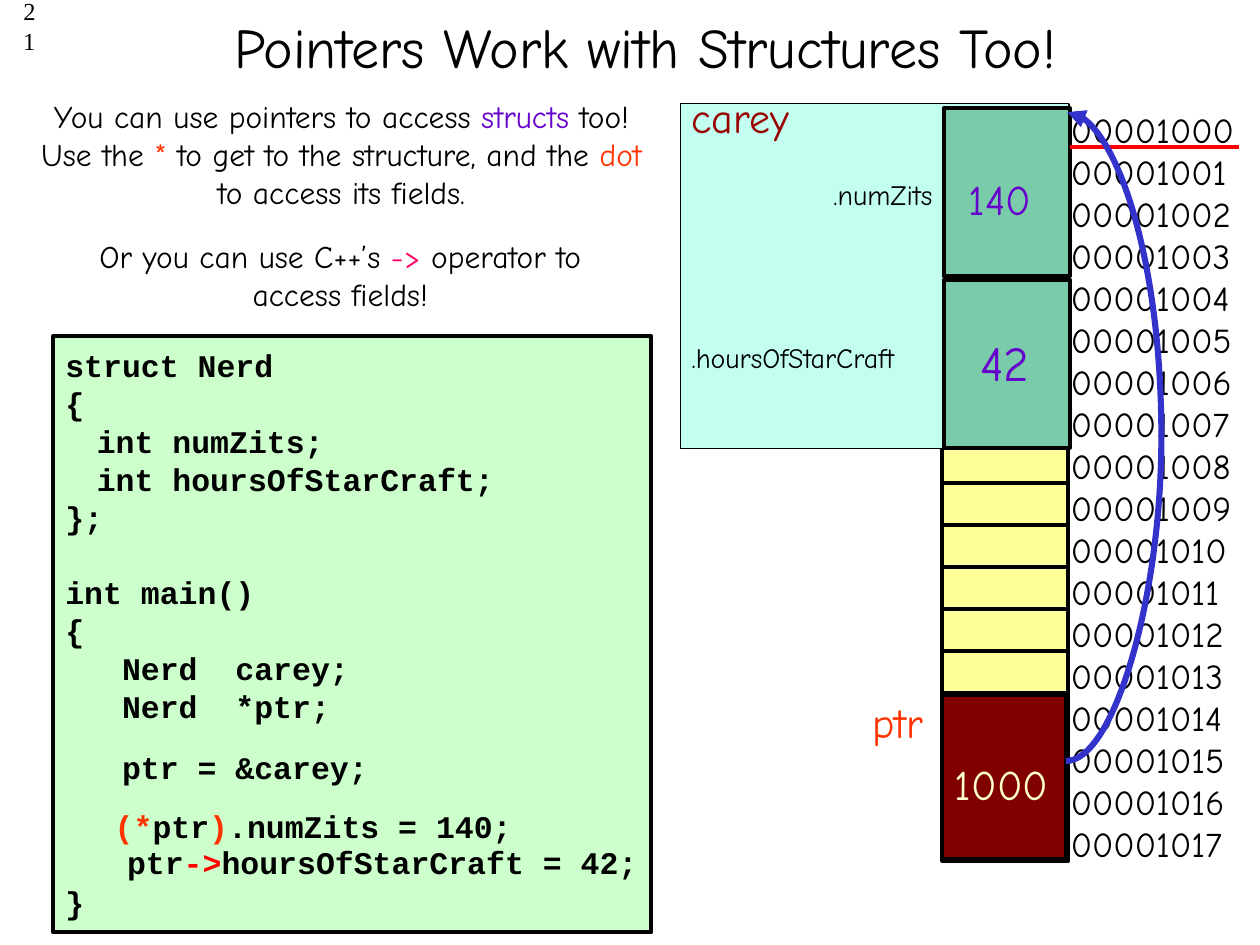
from pptx import Presentation
from pptx.dml.color import RGBColor
from pptx.enum.shapes import MSO_CONNECTOR, MSO_SHAPE
from pptx.enum.text import MSO_ANCHOR, PP_ALIGN
from pptx.oxml.ns import qn
from pptx.util import Inches, Pt
from lxml.etree import SubElement

HUES = {
    "black": "000000", "mint": "CCFFCC", "cell": "FFFF99", "aqua": "C2FFF0",
    "green": "339966", "maroon": "800000", "wine": "990000", "grape": "6600CC",
    "orange": "FF3300", "red": "FF0000", "pink": "FF0066", "cream": "FFFFCC",
    "blue": "3333CC",
}
COMIC, CODE, TIMES = "Comic Neue", "Courier New", "Times New Roman"
LEFT, MID, RIGHT = PP_ALIGN.LEFT, PP_ALIGN.CENTER, PP_ALIGN.RIGHT


def hue(name):
    return RGBColor.from_string(HUES[name])


def write(frame, paras, size=18, font=COMIC, color="black", bold=False,
          align=LEFT, anchor=MSO_ANCHOR.TOP, gaps=None, tab=None, top=0.05):
    """Fill a frame; a paragraph is a string or a list of (text, colour, size)."""
    frame.word_wrap = True
    frame.vertical_anchor = anchor
    frame.margin_top = Inches(top)
    for i, para in enumerate(paras):
        p = frame.paragraphs[0] if i == 0 else frame.add_paragraph()
        if tab:
            stops = SubElement(p._p.get_or_add_pPr(), qn("a:tabLst"))
            SubElement(stops, qn("a:tab"), pos=str(Inches(tab)), algn="l")
        p.alignment = align
        p.line_spacing = Pt(size * 1.2)
        if gaps and i in gaps:
            p.space_before = Pt(gaps[i])
        for text, tone, *own in [(para, color)] if isinstance(para, str) else para:
            run = p.add_run()
            run.text = text
            run.font.size = Pt(own[0] if own else size)
            run.font.name = font
            run.font.bold = bold
            run.font.color.rgb = hue(tone)


class Board:
    """Draws on one slide, on a grid of 100 columns by 75 rows."""

    def __init__(self):
        self.deck = Presentation()
        self.deck.slide_width, self.deck.slide_height = Inches(10), Inches(7.5)
        self.slide = self.deck.slides.add_slide(self.deck.slide_layouts[6])
        self.shapes = self.slide.shapes

    def grid(self, *nums):
        return [int(n * self.deck.slide_width / 100) for n in nums]

    def text(self, x, y, w, h, *paras, **style):
        box = self.shapes.add_textbox(*self.grid(x, y, w, h))
        write(box.text_frame, paras, **style)

    def rect(self, x, y, w, h, fill, line=2.25, alpha=None):
        box = self.shapes.add_shape(MSO_SHAPE.RECTANGLE, *self.grid(x, y, w, h))
        box.shadow.inherit = False
        box.fill.solid()
        box.fill.fore_color.rgb = hue(fill)
        box.line.color.rgb = hue("black")
        box.line.width = Pt(line)
        if alpha:
            tone = box._element.spPr.find(qn("a:solidFill"))[0]
            SubElement(tone, qn("a:alpha"), val=str(alpha * 1000))
        return box

    def line(self, x, y, to_x, to_y, color, width, bulge=None):
        kind = MSO_CONNECTOR.CURVE if bulge else MSO_CONNECTOR.STRAIGHT
        wire = self.shapes.add_connector(kind, *self.grid(x, y, to_x, to_y))
        wire.line.color.rgb = hue(color)
        wire.line.width = Pt(width)
        props = wire._element.spPr
        if bulge:
            SubElement(wire.line._get_or_add_ln(), qn("a:tailEnd"), type="triangle")
            ratio = int(bulge / (to_x - x) * 100000)
            SubElement(props.find(qn("a:prstGeom")).find(qn("a:avLst")),
                       qn("a:gd"), name="adj1", fmla=f"val {ratio}")
        SubElement(props, qn("a:effectLst"))


def main():
    board = Board()
    board.text(0, -0.8, 3.8, 5, "21", size=14, font=TIMES, align=RIGHT)
    board.text(2.5, 0, 97.5, 7.3, "Pointers Work with Structures Too!", size=32,
               align=MID, anchor=MSO_ANCHOR.MIDDLE)

    code = board.rect(4.2, 26.7, 47.5, 47.3, "mint")
    write(code.text_frame, [
        "struct Nerd", "{", "\tint numZits;", "\tint hoursOfStarCraft;", "};",
        "int main()", "{", "   Nerd  carey;", "   Nerd  *ptr;", "   ptr = &carey;",
        [(" ", "black"), (" ", "black", 11), (" ", "black"), ("(*", "orange"),
         ("ptr", "black"), (")", "orange"), (".numZits = 140;", "black")],
        "}",
    ], font=CODE, bold=True, tab=0.25, top=0.08,
        gaps={5: 21.6, 9: 13.2, 10: 12.6, 11: 21.6})

    left, top, wide, step = 74.8, 8.33, 10, 10 / 3
    for i in range(18):
        board.rect(left, top + i * step, wide, step, "cell")
    board.text(84, 8.1, 15.2, 61, *[f"{1000 + i:08d}" for i in range(18)], size=20)

    board.rect(54, 8.2, 30.8, 27.4, "aqua", line=0.75)
    board.text(53.9, 6.8, 12, 5.1, "carey", size=24, color="wine")
    board.text(54.8, 13.6, 20.2, 3.7, ".numZits", size=16, align=RIGHT)
    board.text(53.9, 26.5, 21.4, 3.7, ".hoursOfStarCraft", size=16)
    for y in (8.6, 22.2):
        board.rect(74.9, y, wide, 4 * step, "green", alpha=50)
    board.text(75.9, 13.3, 12.7, 5, "140", size=24, color="grape")
    board.text(76.8, 25.9, 10, 5.7, "42", size=28, color="grape")

    board.rect(left, 55.2, 9.8, 13, "maroon")
    board.line(98.3, 11.7, 84.9, 11.7, "red", 2.25)
    board.text(74.8, 59.7, 12, 5, "1000", size=24, color="cream")
    board.line(84.6, 60.4, 84.7, 8.9, "blue", 3.5, bulge=7.7)
    board.text(68.3, 54.8, 8, 5, "ptr", size=24, color="orange")

    board.text(5, 18.3, 44, 7.1, [
        ("Or you can use C++’s ", "black"), ("-> ", "pink"),
        ("operator to access fields!", "black")], align=MID)
    board.text(9.1, 66.4, 48.5, 4, [
        ("ptr", "black"), ("->", "red"), ("hoursOfStarCraft = 42;", "black")],
        font=CODE, bold=True)
    board.text(2.1, 7.2, 50, 10.1, [
        ("You can use pointers to access ", "black"), ("structs ", "grape"),
        ("too! Use the ", "black"), ("*", "orange"),
        (" to get to the structure, and the ", "black"), ("dot", "orange"),
        (" to access its fields.", "black")], align=MID)
    board.deck.save("out.pptx")


if __name__ == "__main__":
    main()
